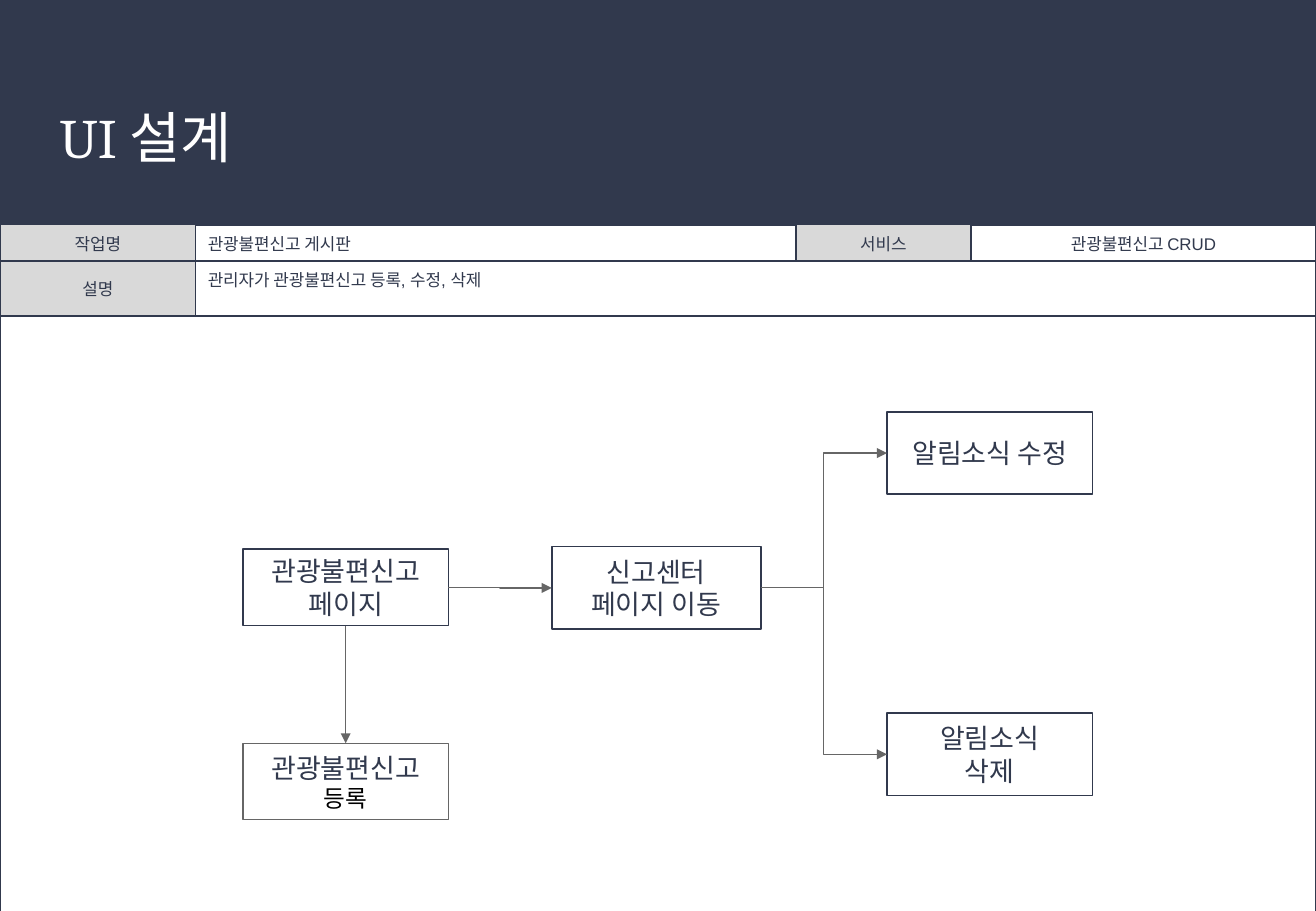
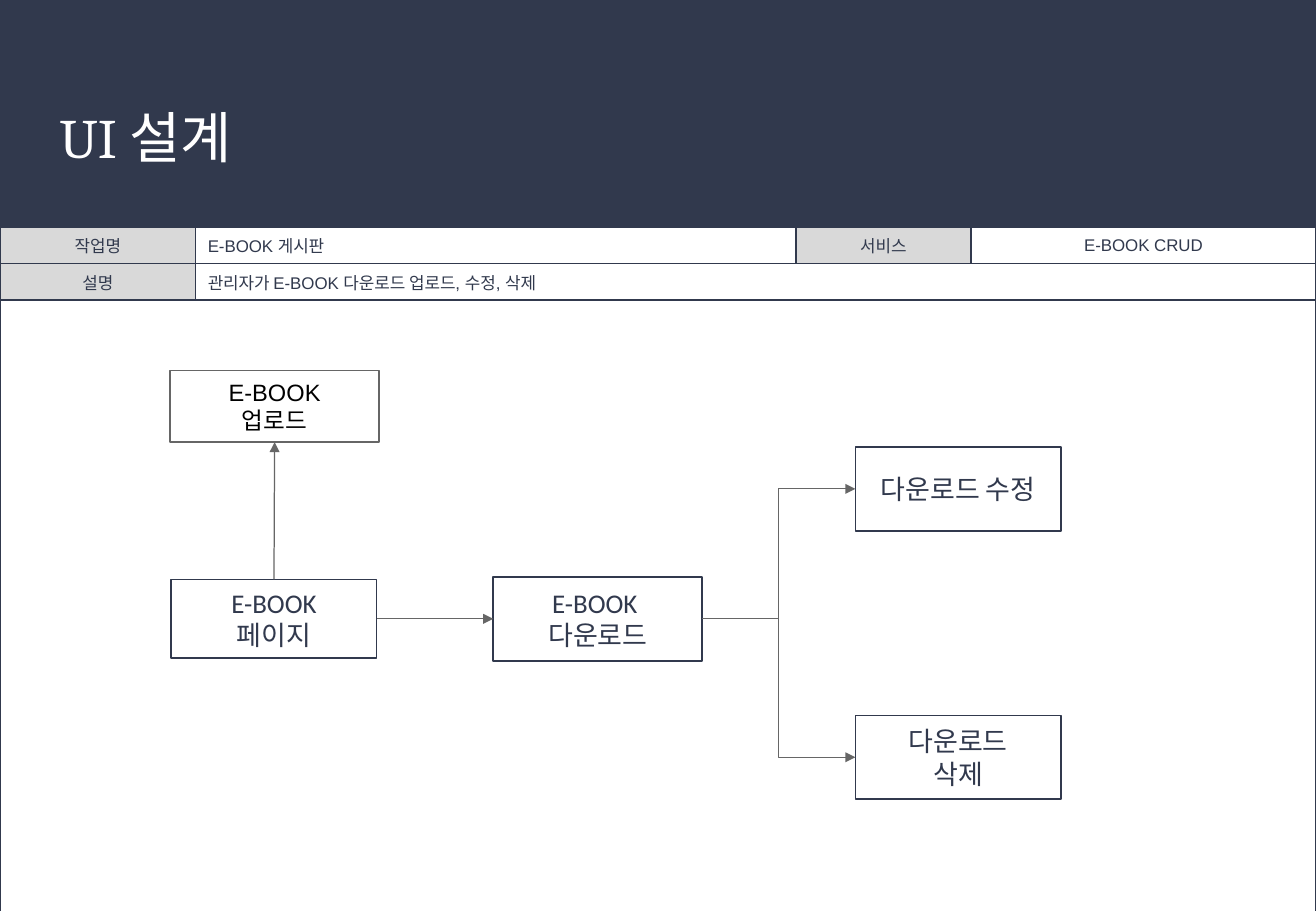
"""Builds two UI design slides, each with a job table and a page flow diagram."""
from dataclasses import dataclass

from lxml.etree import SubElement
from pptx import Presentation
from pptx.dml.color import RGBColor
from pptx.enum.shapes import MSO_CONNECTOR, MSO_SHAPE
from pptx.enum.text import MSO_ANCHOR, PP_ALIGN
from pptx.oxml.ns import qn
from pptx.util import Inches, Pt


@dataclass(frozen=True)
class TextStyle:
    font: str
    size: int
    color: str


@dataclass(frozen=True)
class BoxStyle:
    line: str
    weight: float
    fill: str
    inset: float


class Theme:
    ink = "31394D"
    paper = "FFFFFF"
    label = "D9D9D9"
    arrow = "666666"
    title = TextStyle("Cambria", 33, paper)
    cell = TextStyle("Arial", 10, ink)
    step_text = TextStyle("Calibri", 16, ink)
    action_text = TextStyle("Arial", 14, "000000")
    step = BoxStyle(ink, 1, None, 0.05)
    action = BoxStyle(arrow, 0.75, paper, 0.1)


WIDTH, HEIGHT = 10.83, 7.5
TITLE = "UI 설계"
COLUMNS = (1.61, 4.94, 1.44, 2.84)
TOP, LEFT, BOTTOM, RIGHT = range(4)

SLIDES = [
    {
        "table_top": 1.85,
        "rows": (0.3, 0.45, 4.98),
        "job": "관광불편신고 게시판",
        "service": "관광불편신고 CRUD",
        "description": "관리자가 관광불편신고 등록, 수정, 삭제",
        "description_anchor": MSO_ANCHOR.TOP,
        "steps": {
            "page": ((2, 4.52, 1.69, 0.63), ["관광불편신고", "페이지"]),
            "move": ((4.54, 4.5, 1.72, 0.68), ["신고센터", "페이지 이동"]),
            "edit": ((7.3, 3.39, 1.69, 0.68), ["알림소식 수정"]),
            "delete": ((7.3, 5.87, 1.69, 0.68), ["알림소식", "삭제"]),
        },
        "action": (
            (2, 6.12, 1.69, 0.63),
            [("관광불편신고", Theme.step_text), ("등록", Theme.action_text)],
        ),
        "action_sites": (BOTTOM, TOP),
    },
    {
        "table_top": 1.87,
        "rows": (0.3, 0.3, 5.09),
        "job": "E-BOOK 게시판",
        "service": "E-BOOK CRUD",
        "description": "관리자가 E-BOOK 다운로드 업로드, 수정, 삭제",
        "description_anchor": MSO_ANCHOR.MIDDLE,
        "steps": {
            "page": ((1.41, 4.77, 1.69, 0.65), ["E-BOOK", "페이지"]),
            "move": ((4.06, 4.75, 1.72, 0.69), ["E-BOOK ", "다운로드"]),
            "edit": ((7.04, 3.68, 1.69, 0.69), ["다운로드 수정"]),
            "delete": ((7.04, 5.89, 1.69, 0.69), ["다운로드", "삭제"]),
        },
        "action": (
            (1.4, 3.05, 1.72, 0.59),
            [("E-BOOK", Theme.action_text), ("업로드", Theme.action_text)],
        ),
        "action_sites": (TOP, BOTTOM),
    },
]
FLOW = [("page", "move"), ("move", "edit"), ("move", "delete")]


def rgb(color):
    return RGBColor.from_string(color)


def write(frame, lines, align):
    for index, (text, style) in enumerate(lines):
        para = frame.add_paragraph() if index else frame.paragraphs[0]
        para.text = text
        para.alignment = align
        para.font.name = style.font
        para.font.size = Pt(style.size)
        para.font.color.rgb = rgb(style.color)


def set_insets(frame, side, edge):
    frame.margin_left = frame.margin_right = Inches(side)
    frame.margin_top = frame.margin_bottom = Inches(edge)


def add_header(page):
    band = page.shapes.add_shape(MSO_SHAPE.RECTANGLE, 0, 0, Inches(WIDTH), Inches(1.86))
    band.shadow.inherit = False
    band.fill.solid()
    band.fill.fore_color.rgb = rgb(Theme.ink)
    band.line.fill.background()
    box = page.shapes.add_textbox(Inches(0.37), Inches(0.73), Inches(10.09), Inches(0.91))
    box.text_frame.word_wrap = True
    set_insets(box.text_frame, 0.12, 0.12)
    write(box.text_frame, [(TITLE, Theme.title)], PP_ALIGN.LEFT)


def style_cell(cell, is_label):
    properties = cell._tc.get_or_add_tcPr()
    for side in ("lnL", "lnR", "lnT", "lnB"):
        border = SubElement(properties, qn(f"a:{side}"), w=str(Pt(1)))
        fill = SubElement(border, qn("a:solidFill"))
        SubElement(fill, qn("a:srgbClr"), val=Theme.ink)
    if is_label:
        cell.fill.solid()
        cell.fill.fore_color.rgb = rgb(Theme.label)
    else:
        cell.fill.background()
    cell.vertical_anchor = MSO_ANCHOR.MIDDLE
    set_insets(cell, 0.1, 0.05)


def add_job_table(page, content):
    rows = content["rows"]
    table = page.shapes.add_table(
        len(rows), len(COLUMNS), 0, Inches(content["table_top"]),
        Inches(sum(COLUMNS)), Inches(sum(rows)),
    ).table
    table.first_row = table.horz_banding = False
    for column, width in zip(table.columns, COLUMNS):
        column.width = Inches(width)
    for row, height in zip(table.rows, rows):
        row.height = Inches(height)
    texts = {
        (0, 0): "작업명", (0, 1): content["job"],
        (0, 2): "서비스", (0, 3): content["service"],
        (1, 0): "설명", (1, 1): content["description"],
    }
    labels = {(0, 0), (0, 2), (1, 0)}
    for row in range(len(rows)):
        for column in range(len(COLUMNS)):
            style_cell(table.cell(row, column), (row, column) in labels)
    for (row, column), text in texts.items():
        align = PP_ALIGN.LEFT if column == 1 else PP_ALIGN.CENTER
        write(table.cell(row, column).text_frame, [(text, Theme.cell)], align)
    table.cell(1, 1).vertical_anchor = content["description_anchor"]
    table.cell(1, 1).merge(table.cell(1, 3))
    table.cell(2, 0).merge(table.cell(2, 3))


def add_box(page, place, lines, style):
    box = page.shapes.add_shape(MSO_SHAPE.RECTANGLE, *map(Inches, place))
    box.shadow.inherit = False
    if style.fill:
        box.fill.solid()
        box.fill.fore_color.rgb = rgb(style.fill)
    else:
        box.fill.background()
    box.line.color.rgb = rgb(style.line)
    box.line.width = Pt(style.weight)
    box.text_frame.vertical_anchor = MSO_ANCHOR.MIDDLE
    set_insets(box.text_frame, 0.1, style.inset)
    write(box.text_frame, lines, PP_ALIGN.CENTER)
    return box


def add_arrow(page, kind, start, start_site, end, end_site):
    arrow = page.shapes.add_connector(kind, 0, 0, 0, 0)
    arrow.begin_connect(start, start_site)
    arrow.end_connect(end, end_site)
    arrow.line.color.rgb = rgb(Theme.arrow)
    arrow.line.width = Pt(0.75)
    SubElement(arrow.line._get_or_add_ln(), qn("a:tailEnd"), type="triangle")
    SubElement(arrow._element.spPr, qn("a:effectLst"))


def add_flow(page, content):
    steps = {
        name: add_box(page, place, [(line, Theme.step_text) for line in lines], Theme.step)
        for name, (place, lines) in content["steps"].items()
    }
    for start, end in FLOW:
        add_arrow(page, MSO_CONNECTOR.ELBOW, steps[start], RIGHT, steps[end], LEFT)
    action = add_box(page, *content["action"], Theme.action)
    leave, enter = content["action_sites"]
    add_arrow(page, MSO_CONNECTOR.STRAIGHT, steps["page"], leave, action, enter)


def main():
    deck = Presentation()
    deck.slide_width, deck.slide_height = Inches(WIDTH), Inches(HEIGHT)
    for content in SLIDES:
        page = deck.slides.add_slide(deck.slide_layouts[6])
        add_header(page)
        add_job_table(page, content)
        add_flow(page, content)
    deck.save("out.pptx")


if __name__ == "__main__":
    main()
